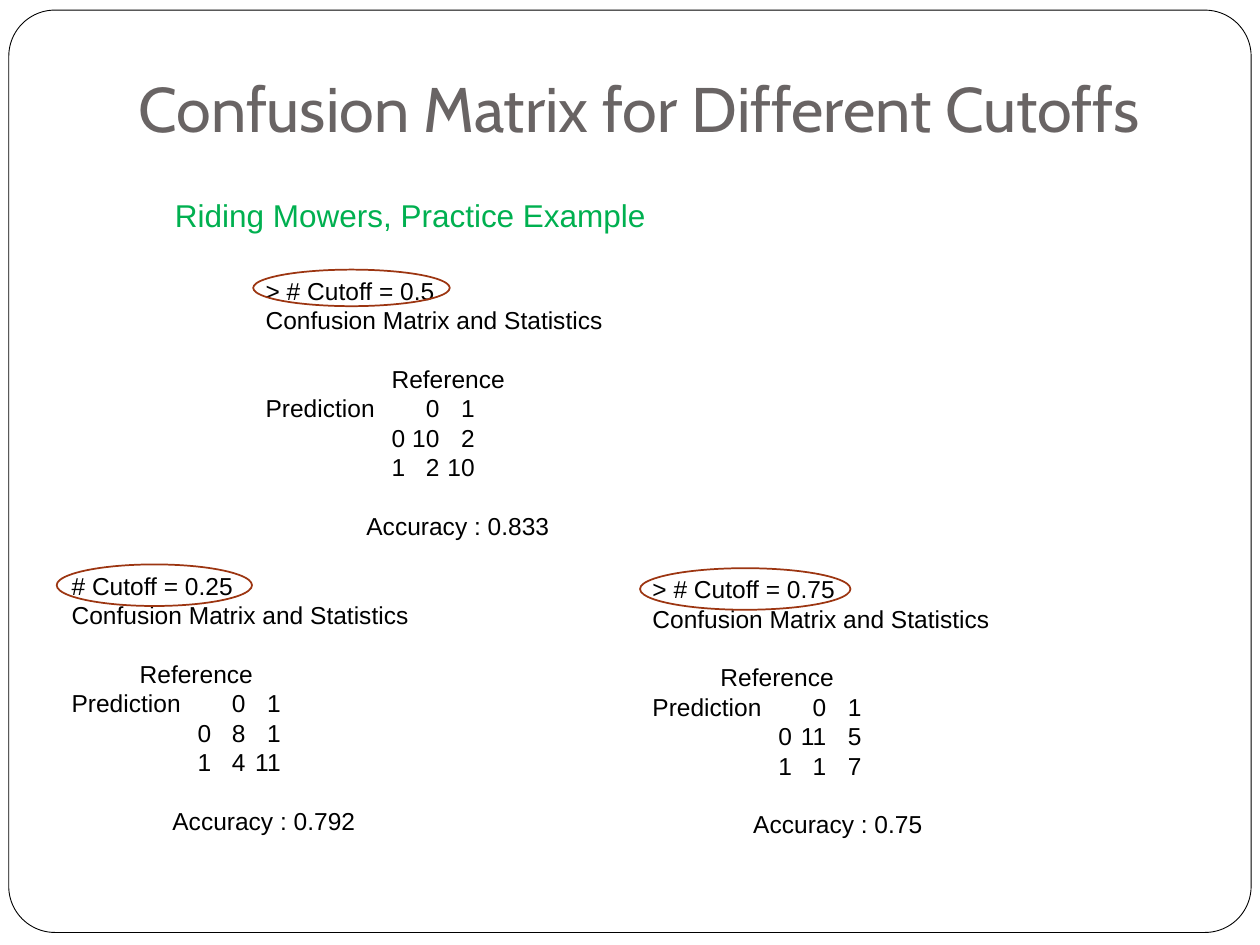
from pptx import Presentation
from pptx.dml.color import RGBColor
from pptx.enum.shapes import MSO_SHAPE as Kind
from pptx.enum.text import MSO_ANCHOR as Anchor, MSO_AUTO_SIZE as Fit, PP_ALIGN as Align
from pptx.oxml.ns import qn
from pptx.util import Inches, Pt
from lxml.etree import SubElement

WIDE, HIGH = Inches(10), Inches(7.5)
INK, GREY, GREEN, RUST, WHITE = "000000", "696464", "00B050", "9C3511", "FFFFFF"
STOPS = ((1, "l"), (1.38, "r"), (1.66, "r"))
CASES = (
    ((20.1, 28.53, 50, 29.6), (0, 15.6, 3.87), 1,
     "> # Cutoff = 0.5", ("10\t2", "2\t10"), "0.833"),
    ((4.7, 59.73, 50, 29.6), (-0.2, 15.5, 4.4), 0.54,
     "# Cutoff = 0.25", ("8\t1", "4\t11"), "0.792"),
    ((50.8, 60.13, 50, 29.6), (0, 16.7, 4.4), 0.54,
     "> # Cutoff = 0.75", ("11\t5", "1\t7"), "0.75"),
)


def color(code):
    """Turn a hex string into a colour."""
    return RGBColor.from_string(code)


def spot(box):
    """Turn percentages of the slide into lengths."""
    x, y, w, h = box
    return [int(part * side / 100) for part, side in
            ((x, WIDE), (y, HIGH), (w, WIDE), (h, HIGH))]


def style(para, size, code, face="Arial"):
    """Format every run of a paragraph."""
    for run in para.runs:
        run.font.size, run.font.name = Pt(size), face
        run.font.color.rgb = color(code)


def shape(slide, kind, box, line, width, fill=None):
    """Draw an outlined shape without a shadow."""
    item = slide.shapes.add_shape(kind, *spot(box))
    item.shadow.inherit = False
    item.line.color.rgb, item.line.width = color(line), Pt(width)
    if fill:
        item.fill.solid()
        item.fill.fore_color.rgb = color(fill)
    else:
        item.fill.background()
    return item


def note(slide, box, lines, size, code):
    """Place a text box and return its paragraphs."""
    frame = slide.shapes.add_textbox(*spot(box)).text_frame
    frame.word_wrap = True
    frame.text = "\n".join(lines)
    for para in frame.paragraphs:
        style(para, size, code)
    return frame.paragraphs


def indent(para, inches):
    """Shift a paragraph to the right."""
    para._p.get_or_add_pPr().set("marL", str(Inches(inches)))


def align(para):
    """Give a paragraph the tab stops of the matrix."""
    tabs = SubElement(para._p.get_or_add_pPr(), qn("a:tabLst"))
    for inches, side in STOPS:
        SubElement(tabs, qn("a:tab"), pos=str(Inches(inches)), algn=side)


def head(slide, box):
    """Fill the title over the rounded frame."""
    title = slide.shapes.title
    title.left, title.top, title.width, title.height = spot(box)
    frame = title.text_frame
    frame.text = "Confusion Matrix for Different Cutoffs"
    frame.auto_size, frame.vertical_anchor = Fit.NONE, Anchor.BOTTOM
    frame.margin_bottom = Inches(0.1)
    para = frame.paragraphs[0]
    para.alignment = Align.LEFT
    style(para, 36, GREY, "Cabin")
    edge = shape(slide, Kind.ROUNDED_RECTANGLE, (0.7, 1.07, 98.6, 97.6), INK, 0.5, WHITE)
    edge.adjustments[0] = 0.05
    title.element.addprevious(edge.element)


def matrix(slide, box, ring, shift, name, rows, score):
    """Write one confusion matrix and ring its cutoff."""
    lines = [name, "Confusion Matrix and Statistics", "Reference", "Prediction\t\t0\t1"]
    lines += [f"\t{mark}\t{row}" for mark, row in enumerate(rows)]
    paras = note(slide, box, lines + [f"Accuracy : {score}"], 14, INK)
    for para, inches in ((paras[2], shift), (paras[-1], 0.8)):
        indent(para, inches)
        para.space_before = Pt(16.7)
    for para in paras[3:-1]:
        align(para)
    left, wide, high = ring
    shape(slide, Kind.OVAL, (box[0] + left, box[1], wide, high), RUST, 1)


def main():
    """Build the slide and save it."""
    deck = Presentation()
    deck.slide_width, deck.slide_height = WIDE, HIGH
    slide = deck.slides.add_slide(deck.slide_layouts[5])
    head(slide, (10, 4, 85, 12.67))
    for case in CASES:
        matrix(slide, *case)
    note(slide, (12.9, 20.13, 50.4, 5.33), ["Riding Mowers, Practice Example"], 18, GREEN)
    deck.save("out.pptx")


if __name__ == "__main__":
    main()
